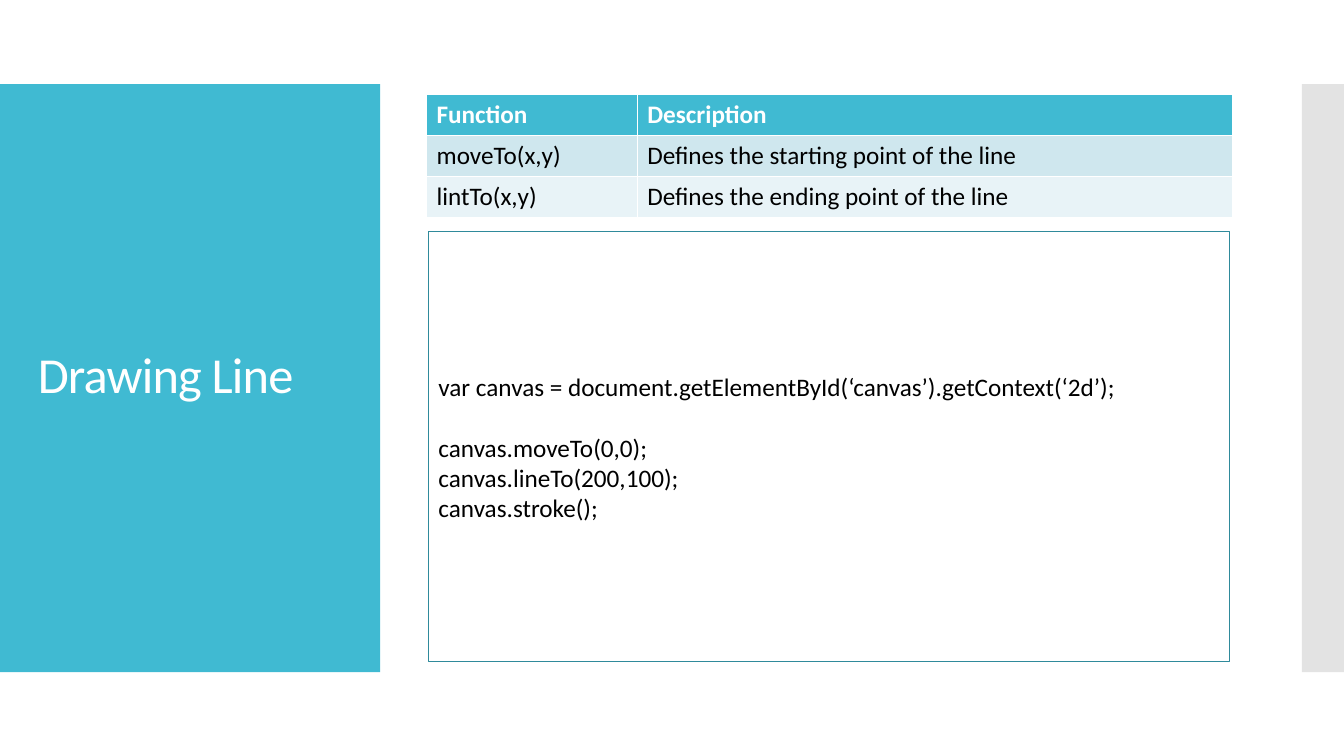
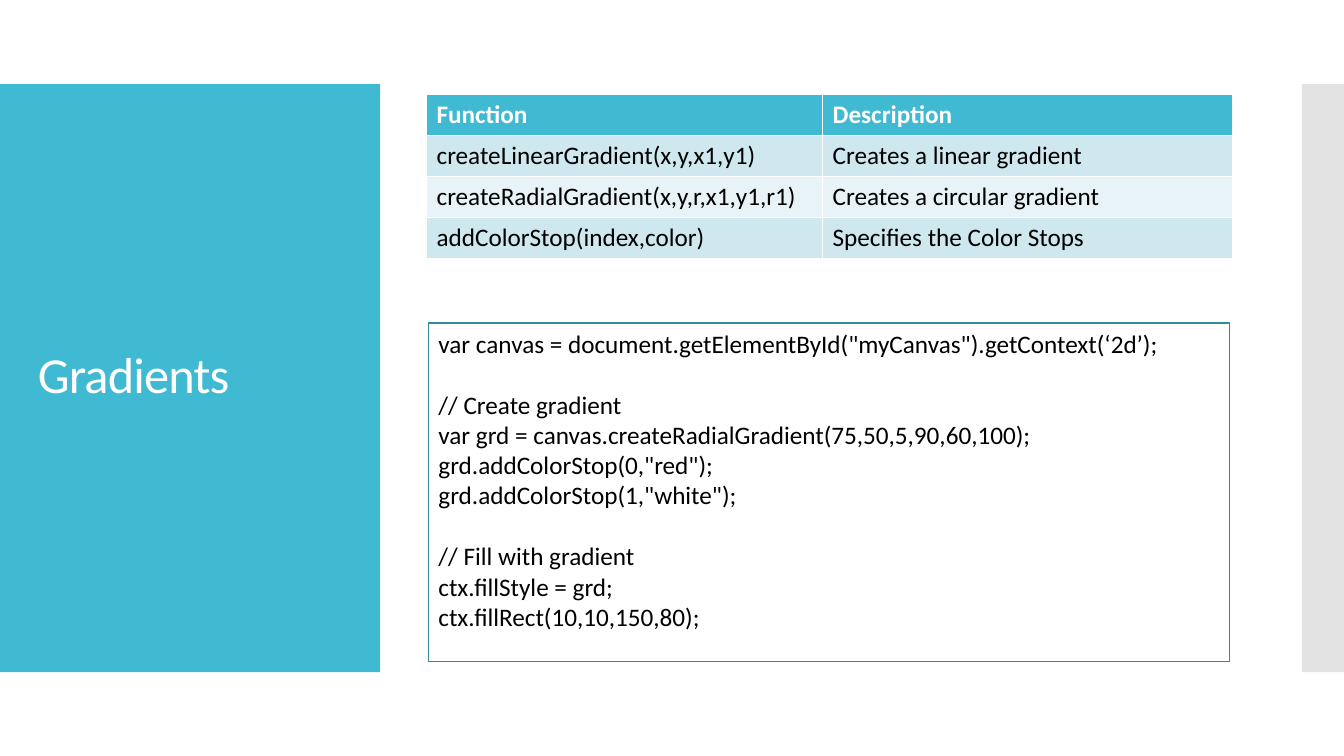
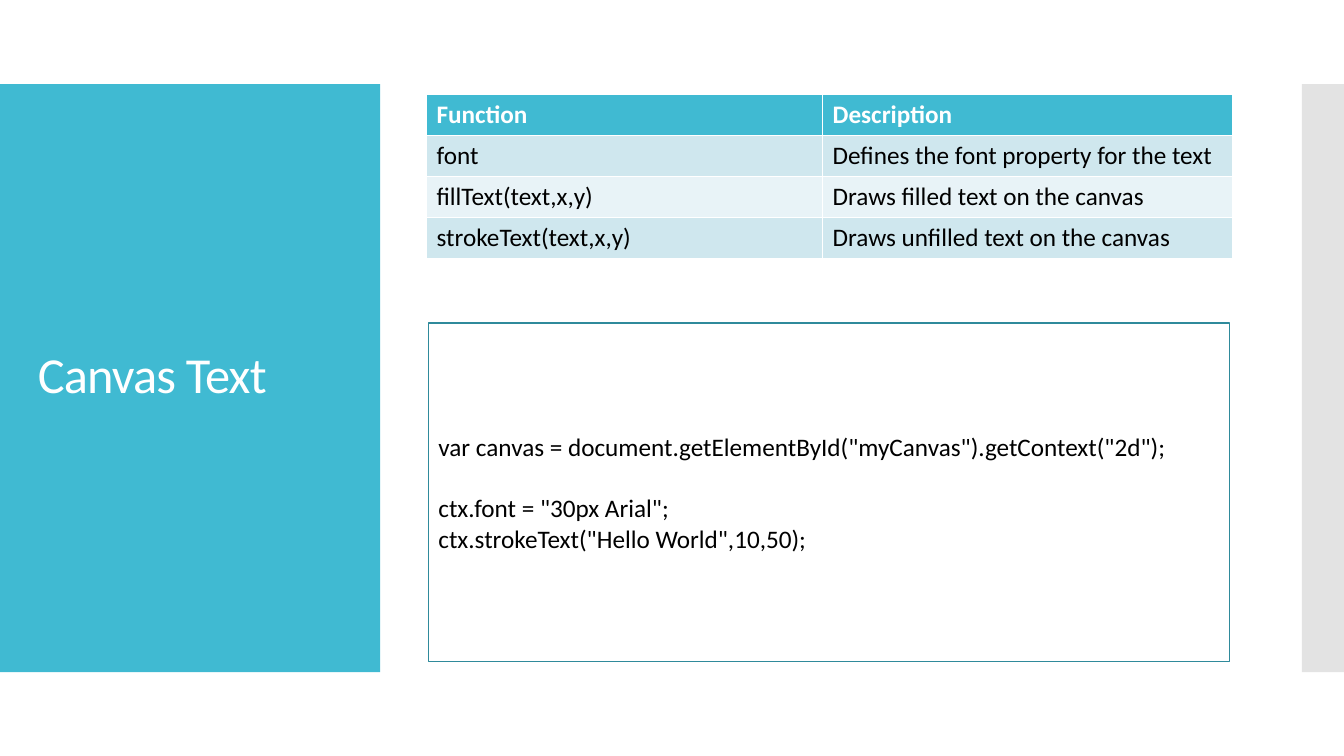
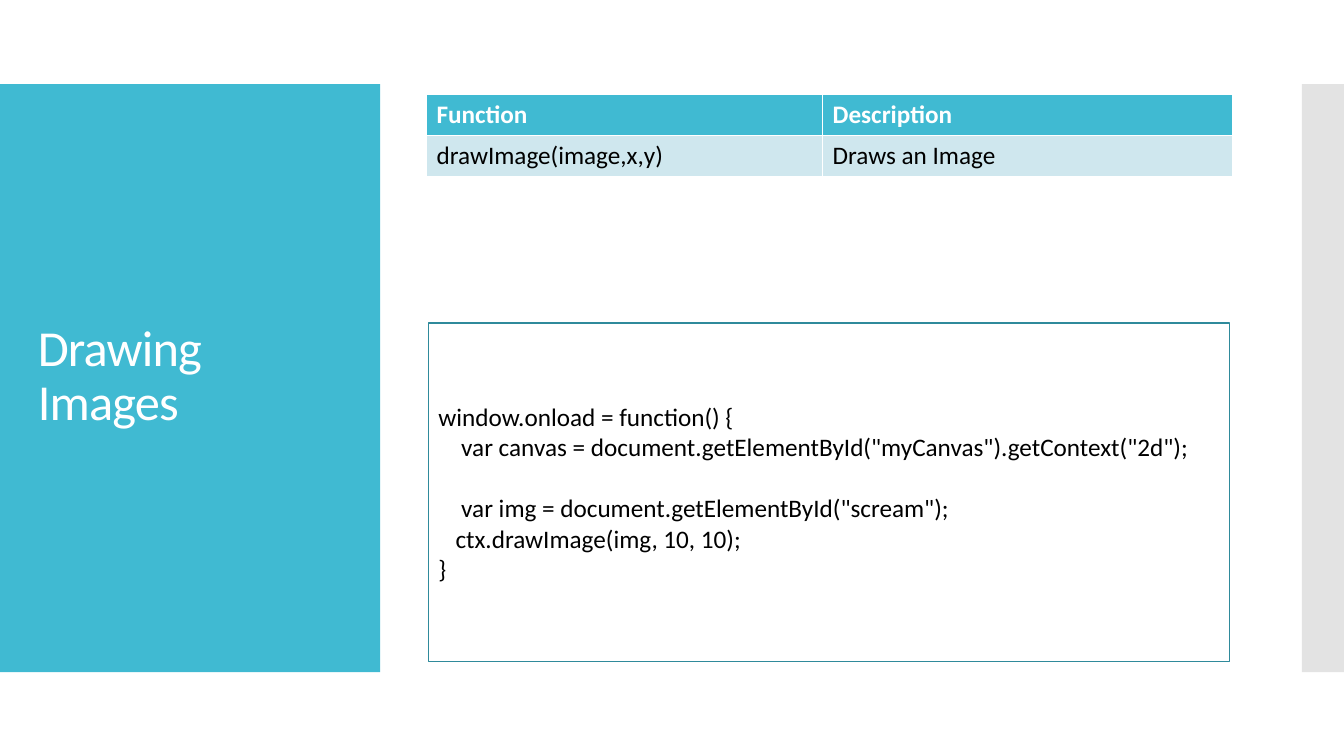
from lxml import etree
from pptx import Presentation
from pptx.dml.color import RGBColor
from pptx.enum import shapes, text
from pptx.oxml import ns
from pptx.util import Cm, Pt

TEAL = RGBColor(0x40, 0xBA, 0xD2)
DARK_TEAL = RGBColor(0x2F, 0x8A, 0x9B)
GREY = RGBColor(0xC8, 0xC8, 0xC8)
ROW_FILLS = [RGBColor(0xCF, 0xE7, 0xEE), RGBColor(0xE8, 0xF3, 0xF7)]
WHITE = RGBColor(0xFF, 0xFF, 0xFF)
BLACK = RGBColor(0, 0, 0)

FONT = "Calibri"
TEXT_SIZE = Pt(18)
LINE_HEIGHT = Pt(22)
SPACE_WIDTH = Pt(4.07)

SLIDE_W, SLIDE_H = Cm(33.87), Cm(19.05)
BAND_TOP, BAND_H = Cm(2.12), Cm(14.82)
TITLE_BAND_W, EDGE_BAND_W = Cm(9.58), Cm(1.06)
TABLE_BOX = Cm(10.75), Cm(2.39), Cm(20.32)
ROW_H = Cm(1.03)
CODE_LEFT, CODE_W, CODE_BOTTOM = Cm(10.8), Cm(20.19), Cm(16.68)

HEADER = ("Function", "Description")
SLIDES = [
    dict(
        title="Drawing Line",
        first_col=Cm(5.31),
        rows=[
            ("moveTo(x,y)", "Defines the starting point of the line"),
            ("lintTo(x,y)", "Defines the ending point of the line"),
        ],
        code_top=Cm(5.84),
        code="""var canvas = document.getElementById(‘canvas’).getContext(‘2d’);

canvas.moveTo(0,0);
canvas.lineTo(200,100);
canvas.stroke();""",
    ),
    dict(
        title="Gradients",
        rows=[
            ("createLinearGradient(x,y,x1,y1)", "Creates a linear gradient"),
            ("createRadialGradient(x,y,r,x1,y1,r1)", "Creates a circular gradient"),
            ("addColorStop(index,color)", "Specifies the Color Stops"),
        ],
        anchor=text.MSO_ANCHOR.TOP,
        code="""var canvas = document.getElementById("myCanvas").getContext(‘2d’);

// Create gradient
var grd = canvas.createRadialGradient(75,50,5,90,60,100);
grd.addColorStop(0,"red");
grd.addColorStop(1,"white");

// Fill with gradient
ctx.fillStyle = grd;
ctx.fillRect(10,10,150,80);""",
    ),
    dict(
        title="Canvas Text",
        rows=[
            ("font", "Defines the font property for the text"),
            ("fillText(text,x,y)", "Draws filled text on the canvas"),
            ("strokeText(text,x,y)", "Draws unfilled text on the canvas"),
        ],
        code="""var canvas = document.getElementById("myCanvas").getContext("2d");

ctx.font = "30px Arial";
ctx.strokeText("Hello World",10,50);""",
    ),
    dict(
        title="Drawing Images",
        rows=[("drawImage(image,x,y)", "Draws an Image")],
        code="""window.onload = function() {
    var canvas = document.getElementById("myCanvas").getContext("2d");

    var img = document.getElementById("scream");
   ctx.drawImage(img, 10, 10);
}""",
    ),
]


def set_font(p, size, color, bold=False):
    p.font.name = FONT
    p.font.size = size
    p.font.color.rgb = color
    p.font.bold = bold


def add_rect(s, left, top, width, height, fill):
    sp = s.shapes.add_shape(shapes.MSO_SHAPE.RECTANGLE, left, top, width, height)
    sp.shadow.inherit = False
    sp.fill.solid()
    sp.fill.fore_color.rgb = fill
    return sp


def set_up_layout(layout, s):
    title = layout.placeholders[0]
    title.left, title.top = Cm(0.7), Cm(3.12)
    title.width, title.height = Cm(8.18), Cm(12.78)

    title_band = add_rect(s, 0, BAND_TOP, TITLE_BAND_W, BAND_H, TEAL)
    edge_band = add_rect(s, SLIDE_W - EDGE_BAND_W, BAND_TOP, EDGE_BAND_W, BAND_H, GREY)
    color = edge_band._element.spPr.find(".//" + ns.qn("a:srgbClr"))
    etree.SubElement(color, ns.qn("a:alpha")).set("val", "50000")

    tree = layout.shapes._spTree
    for i, band in enumerate((title_band, edge_band)):
        band.line.fill.background()
        band._element.nvSpPr.cNvPr.set("id", str(20 + i))
        tree.insert(2 + i, band._element)


def add_title(s, words):
    tf = s.shapes.title.text_frame
    tf.text = words
    tf.word_wrap = True
    tf.auto_size = text.MSO_AUTO_SIZE.NONE
    tf.vertical_anchor = text.MSO_ANCHOR.MIDDLE
    p = tf.paragraphs[0]
    p.alignment = text.PP_ALIGN.LEFT
    p.line_spacing = 0.9
    set_font(p, Pt(36), WHITE)
    p.runs[0]._r.get_or_add_rPr().set("spc", "-60")


def add_function_table(s, left, top, width, first_col, rows):
    rows = [HEADER, *rows]
    table = s.shapes.add_table(len(rows), 2, left, top, width, ROW_H * len(rows)).table
    table.columns[0].width = first_col
    table.columns[1].width = width - first_col
    for i, row in enumerate(rows):
        table.rows[i].height = ROW_H
        for j, words in enumerate(row):
            cell = table.cell(i, j)
            cell.text = words
            cell.fill.solid()
            cell.fill.fore_color.rgb = ROW_FILLS[(i - 1) % 2] if i else TEAL
            set_font(cell.text_frame.paragraphs[0], TEXT_SIZE,
                     BLACK if i else WHITE, bold=i == 0)


def add_code_box(s, left, top, width, height, code, anchor):
    sp = add_rect(s, left, top, width, height, WHITE)
    sp.line.color.rgb = DARK_TEAL
    sp.line.width = Pt(0.85)
    tf = sp.text_frame
    tf.word_wrap = True
    tf.vertical_anchor = anchor
    p = tf.paragraphs[0]
    for i, block in enumerate(code.split("\n\n")):
        for j, line in enumerate(block.split("\n")):
            if i or j:
                p = tf.add_paragraph()
            p.text = line.lstrip()
            p.alignment = text.PP_ALIGN.LEFT
            set_font(p, TEXT_SIZE, BLACK)
            if i and not j:
                p.space_before = LINE_HEIGHT
            indent = len(line) - len(line.lstrip())
            if indent:
                p._p.get_or_add_pPr().set("marL", str(indent * SPACE_WIDTH))


def fill_slide(s, title, rows, code, first_col=Cm(9.98), code_top=Cm(8.14),
               anchor=text.MSO_ANCHOR.MIDDLE):
    add_title(s, title)
    add_function_table(s, *TABLE_BOX, first_col, rows)
    add_code_box(s, CODE_LEFT, code_top, CODE_W, CODE_BOTTOM - code_top, code, anchor)


def main():
    prs = Presentation()
    prs.slide_width, prs.slide_height = SLIDE_W, SLIDE_H
    layout = prs.slide_layouts.get_by_name("Title Only")
    slides = [prs.slides.add_slide(layout) for _ in SLIDES]
    set_up_layout(layout, slides[0])
    for s, content in zip(slides, SLIDES):
        fill_slide(s, **content)
    prs.save("out.pptx")


if __name__ == "__main__":
    main()
